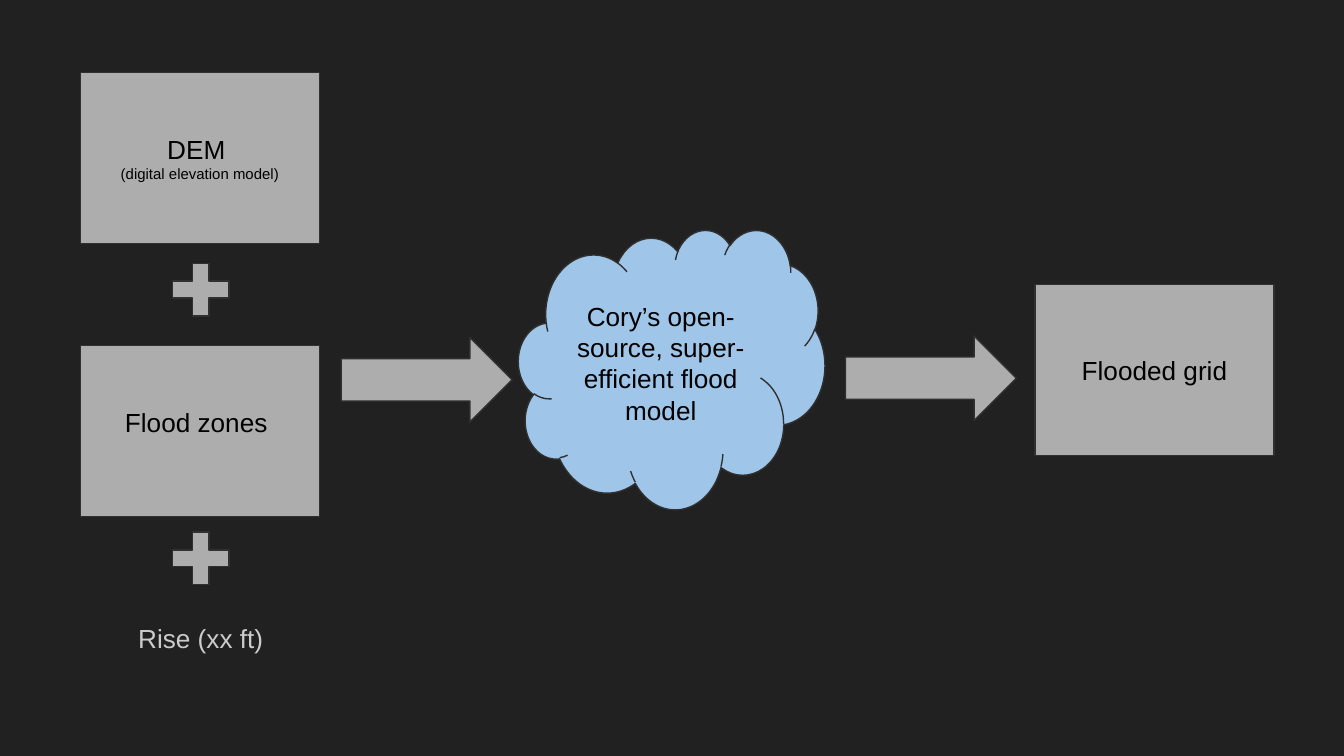
from pptx import Presentation
from pptx.dml.color import RGBColor
from pptx.enum.shapes import MSO_SHAPE
from pptx.enum.text import MSO_ANCHOR, PP_ALIGN
from pptx.util import Cm, Pt

BACKGROUND = RGBColor(0x21, 0x21, 0x21)
GRAY = RGBColor(0xAD, 0xAD, 0xAD)
OUTLINE = RGBColor(0x30, 0x30, 0x30)
BLUE = RGBColor(0x9F, 0xC5, 0xE8)
BLACK = RGBColor(0, 0, 0)
LIGHT = RGBColor(0xCC, 0xCC, 0xCC)
BOX_WIDTH, BOX_HEIGHT = 4.52, 3.23
INPUT_LEFT = 1.52


class FlowSlide:
    font = "Arial"
    size = 14
    inset = 0.25

    def __init__(self, prs):
        self.slide = prs.slides.add_slide(prs.slide_layouts[6])
        fill = self.slide.background.fill
        fill.solid()
        fill.fore_color.rgb = BACKGROUND

    def set_text(self, s, lines, color, anchor, bottom=inset):
        tf = s.text_frame
        tf.word_wrap = True
        tf.vertical_anchor = anchor
        tf.margin_left = tf.margin_right = tf.margin_top = Cm(self.inset)
        tf.margin_bottom = Cm(bottom)
        for i, (text, size) in enumerate(lines):
            p = tf.add_paragraph() if i else tf.paragraphs[0]
            p.add_run().text = text
            p.alignment = PP_ALIGN.CENTER
            p.font.name = self.font
            p.font.size = Pt(size)
            p.font.color.rgb = color

    def shape(self, kind, x, y, w, h, color=GRAY):
        s = self.slide.shapes.add_shape(kind, Cm(x), Cm(y), Cm(w), Cm(h))
        s.shadow.inherit = False
        s.fill.solid()
        s.fill.fore_color.rgb = color
        s.line.color.rgb = OUTLINE
        s.line.width = Pt(0.75)
        return s

    def box(self, x, y, lines, bottom=inset):
        s = self.shape(MSO_SHAPE.RECTANGLE, x, y, BOX_WIDTH, BOX_HEIGHT)
        self.set_text(s, lines, BLACK, MSO_ANCHOR.MIDDLE, bottom)

    def plus(self, y):
        s = self.shape(MSO_SHAPE.MATH_PLUS, 3.07, y, 1.45, 1.35)
        s.adjustments[0] = 0.235

    def arrow(self, x, y):
        self.shape(MSO_SHAPE.RIGHT_ARROW, x, y, 3.23, 1.6)

    def cloud(self, x, y, w, h, text):
        s = self.shape(MSO_SHAPE.CLOUD, x, y, w, h, BLUE)
        self.set_text(s, [(text, self.size)], BLACK, MSO_ANCHOR.MIDDLE)

    def label(self, x, y, w, h, text):
        s = self.slide.shapes.add_textbox(Cm(x), Cm(y), Cm(w), Cm(h))
        self.set_text(s, [(text, self.size)], LIGHT, MSO_ANCHOR.TOP)


def main():
    prs = Presentation()
    prs.slide_width, prs.slide_height = Cm(25.4), Cm(14.29)
    flow = FlowSlide(prs)
    flow.box(INPUT_LEFT, 1.37, [("DEM ", 14), ("(digital elevation model)", 8)])
    flow.box(INPUT_LEFT, 6.53, [("Flood zones ", 14)], bottom=0.58)
    for y in (4.8, 9.88):
        flow.plus(y)
    flow.arrow(6.45, 6.38)
    flow.box(19.56, 5.38, [("Flooded grid", 14)])
    flow.label(1.85, 11.51, 3.89, BOX_HEIGHT, "Rise (xx ft)")
    flow.cloud(9.8, 4.34, 5.79, 5.28, "Cory’s open-source, super-efficient flood model")
    flow.arrow(15.98, 6.35)
    prs.save("out.pptx")


if __name__ == "__main__":
    main()
